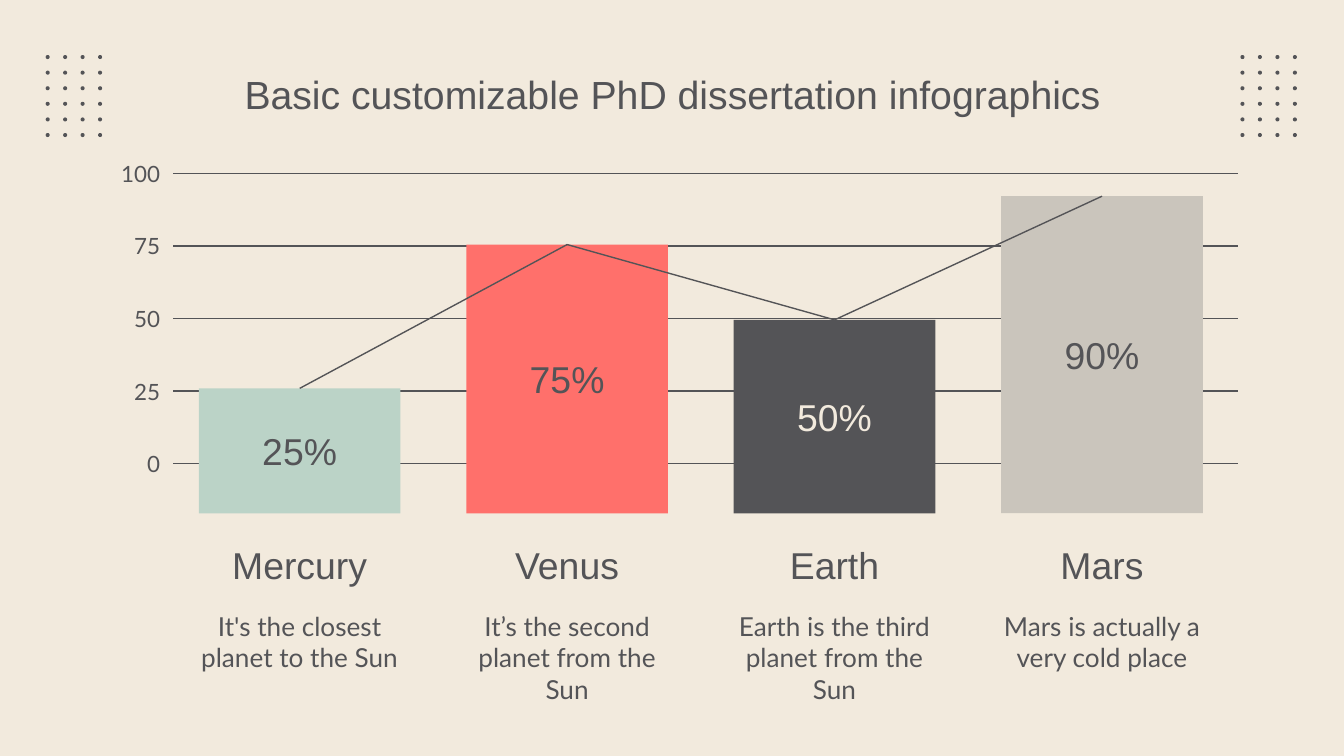
from dataclasses import dataclass
from itertools import pairwise, product

from lxml.etree import SubElement
from pptx import Presentation
from pptx.dml.color import RGBColor as RGB
from pptx.enum.shapes import MSO_CONNECTOR as Connector, MSO_SHAPE as Shape
from pptx.enum.text import MSO_ANCHOR as Anchor, PP_ALIGN as Align
from pptx.oxml.ns import qn
from pptx.util import Inches, Pt


@dataclass(frozen=True)
class Theme:
    paper: str = "F2EADD"
    ink: str = "545457"
    mint: str = "BBD3C7"
    coral: str = "FF706B"
    stone: str = "CAC5BC"
    heading_font: str = "Arial"
    body_font: str = "Lato"
    title_size: int = 21
    heading_size: int = 20
    body_size: int = 14
    tick_size: int = 12
    line_width: float = 0.75


THEME = Theme()
TITLE = "Basic customizable PhD dissertation infographics"
PLANETS = [
    ("Mercury", "It's the closest planet to the Sun", "25%", 2.89, THEME.mint, THEME.ink),
    ("Venus", "It’s the second planet from the Sun", "75%", 1.82, THEME.coral, THEME.ink),
    ("Earth", "Earth is the third planet from the Sun", "50%", 2.38, THEME.ink, THEME.paper),
    ("Mars", "Mars is actually a very cold place", "90%", 1.46, THEME.stone, THEME.ink),
]
TICKS = [0, 25, 50, 75, 100]

SLIDE_WIDTH = Inches(10)
SLIDE_HEIGHT = SLIDE_WIDTH * 9 // 16
AXIS_LEFT, AXIS_RIGHT = 1.29, 9.21
AXIS_ZERO, TICK_STEP = 3.45, 0.54
TICK_WIDTH, TICK_HEIGHT = 0.5, 0.2
FIRST_CENTER, COLUMN_STEP = 2.23, 1.99
BAR_WIDTH, BAR_BOTTOM = 1.5, 3.82
LABEL_WIDTH = 1.86
DOT_COLUMNS, DOT_ROWS = 4, 6
DOT_LEFTS = [0.34, 9.23]
DOT_SIZE, DOT_TOP, DOT_STEP_X = 0.03, 0.41, 0.13
DOT_STEP_Y = 0.58 / (DOT_ROWS - 1)


def write(shape, text, size, font, color=THEME.ink, align=Align.CENTER,
          anchor=Anchor.MIDDLE, top_inset=0.1):
    frame = shape.text_frame
    frame.word_wrap = True
    frame.vertical_anchor = anchor
    frame.margin_left = frame.margin_right = frame.margin_bottom = Inches(0.1)
    frame.margin_top = Inches(top_inset)
    para = frame.paragraphs[0]
    para.alignment = align
    span = para.add_run()
    span.text = text
    span.font.size = Pt(size)
    span.font.name = font
    span.font.color.rgb = RGB.from_string(color)


def add_label(slide, bounds, text, size, font, **style):
    box = slide.shapes.add_textbox(*map(Inches, bounds))
    write(box, text, size, font, **style)


def add_filled(slide, kind, bounds, color):
    shape = slide.shapes.add_shape(kind, *map(Inches, bounds))
    shape.shadow.inherit = False
    shape.fill.solid()
    shape.fill.fore_color.rgb = RGB.from_string(color)
    shape.line.fill.background()
    return shape


def add_line(slide, *ends):
    line = slide.shapes.add_connector(Connector.STRAIGHT, *map(Inches, ends))
    line.line.color.rgb = RGB.from_string(THEME.ink)
    line.line.width = Pt(THEME.line_width)
    SubElement(line._element.spPr, qn("a:effectLst"))
    return line


def add_dots(slide):
    for left, row, column in product(DOT_LEFTS, range(DOT_ROWS), range(DOT_COLUMNS)):
        bounds = (left + column * DOT_STEP_X, DOT_TOP + row * DOT_STEP_Y, DOT_SIZE, DOT_SIZE)
        add_filled(slide, Shape.OVAL, bounds, THEME.ink)


def add_title(slide):
    title = slide.shapes.title
    title.left, title.top, title.width, title.height = map(Inches, (0.79, 0.4, 8.43, 0.63))
    write(title, TITLE, THEME.title_size, THEME.heading_font, top_inset=0.07)


def add_axis(slide):
    for index, value in enumerate(TICKS):
        y = AXIS_ZERO - index * TICK_STEP
        bounds = (AXIS_LEFT - TICK_WIDTH, y - TICK_HEIGHT / 2, TICK_WIDTH, TICK_HEIGHT)
        add_label(slide, bounds, str(value), THEME.tick_size, THEME.body_font, align=Align.RIGHT)
        add_line(slide, AXIS_LEFT, y, AXIS_RIGHT, y)


def add_planets(slide):
    bars = []
    for index, (name, fact, share, top, fill, text_color) in enumerate(PLANETS):
        center = FIRST_CENTER + index * COLUMN_STEP
        left = center - LABEL_WIDTH / 2
        add_label(slide, (left, 3.95, LABEL_WIDTH, 0.5), name,
                  THEME.heading_size, THEME.heading_font)
        add_label(slide, (left, 4.44, LABEL_WIDTH, 0.6), fact,
                  THEME.body_size, THEME.body_font, anchor=Anchor.TOP)
        bounds = (center - BAR_WIDTH / 2, top, BAR_WIDTH, BAR_BOTTOM - top)
        bar = add_filled(slide, Shape.RECTANGLE, bounds, fill)
        write(bar, share, THEME.heading_size, THEME.heading_font, color=text_color)
        bars.append(bar)
    for start, end in pairwise(bars):
        trend = add_line(slide, 0, 0, 1, 1)
        trend.begin_connect(start, 0)
        trend.end_connect(end, 0)


def main():
    deck = Presentation()
    deck.slide_width, deck.slide_height = SLIDE_WIDTH, SLIDE_HEIGHT
    slide = deck.slides.add_slide(deck.slide_layouts[5])
    background = slide.background.fill
    background.solid()
    background.fore_color.rgb = RGB.from_string(THEME.paper)
    add_dots(slide)
    add_title(slide)
    add_axis(slide)
    add_planets(slide)
    deck.save("out.pptx")


if __name__ == "__main__":
    main()
